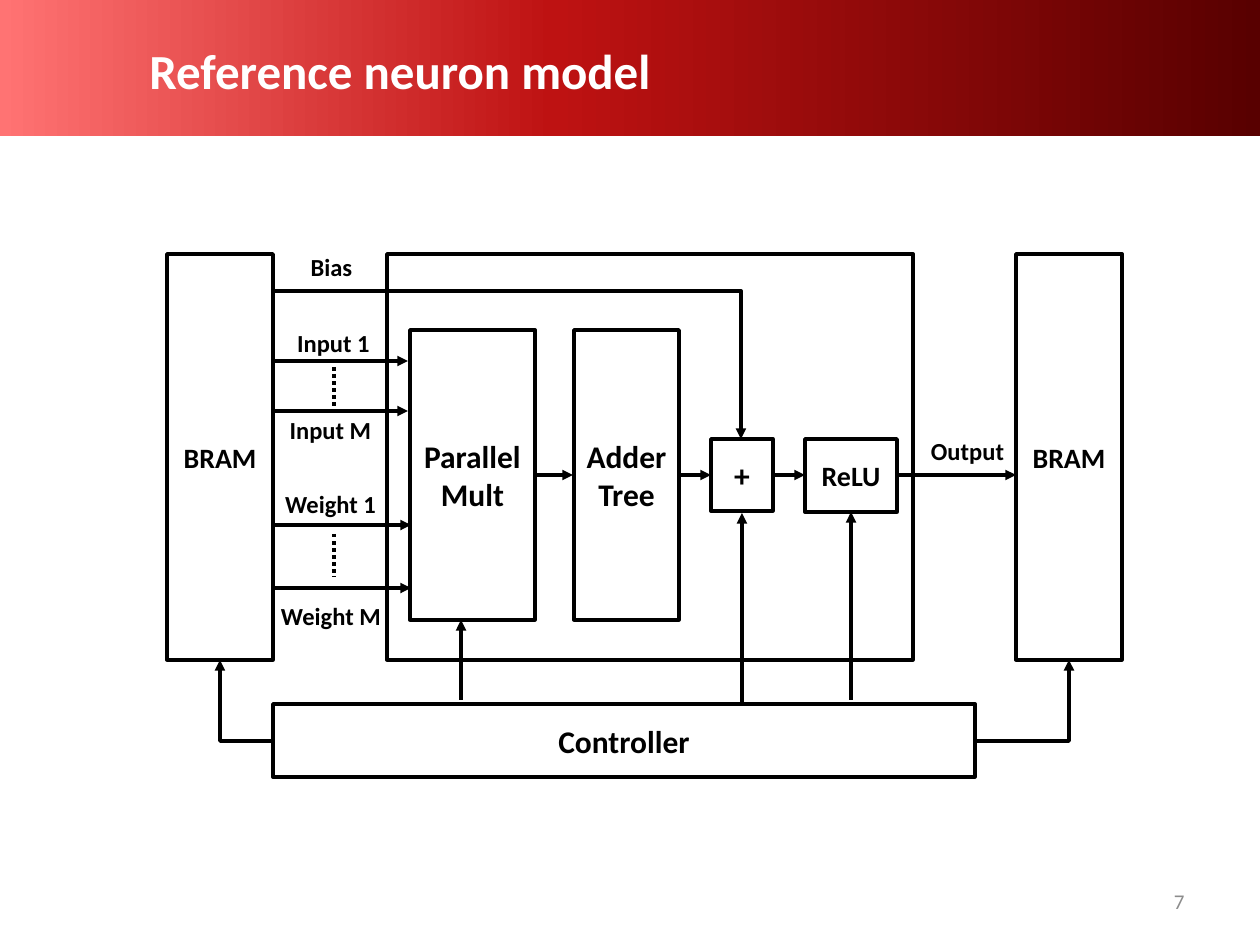
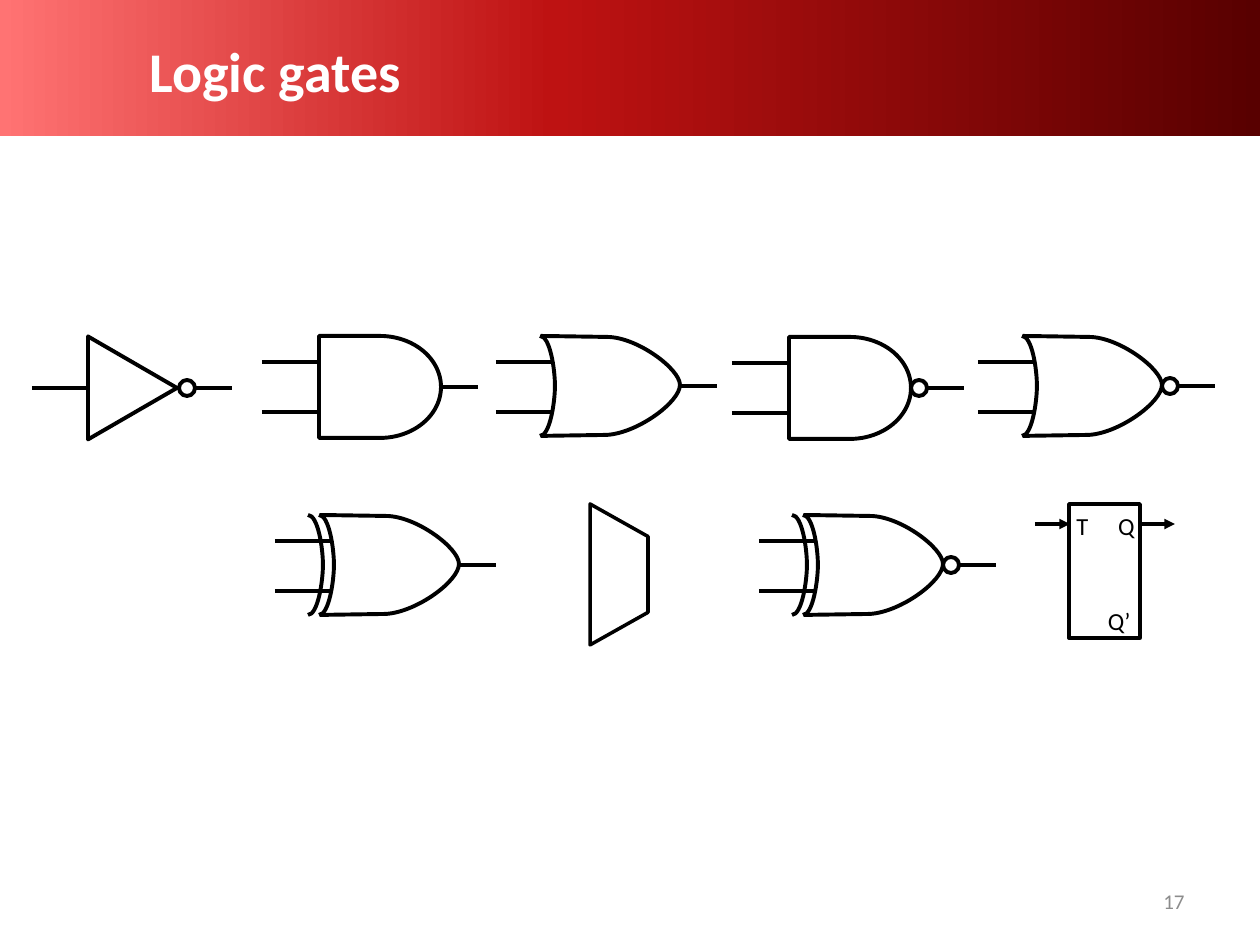
"""Build two slides: a neuron block diagram and a set of logic gate symbols."""
from copy import deepcopy

from lxml import etree
from pptx import Presentation
from pptx.dml.color import RGBColor
from pptx.enum.dml import MSO_LINE
from pptx.enum.shapes import MSO_CONNECTOR, MSO_SHAPE
from pptx.enum.text import MSO_ANCHOR, PP_ALIGN
from pptx.oxml.ns import qn
from pptx.util import Pt

PX = 914400 / 126  # EMU per pixel
WIDTH, HEIGHT = 1260, 945
FONT = "Calibri"

BLACK = RGBColor(0, 0, 0)
WHITE = RGBColor(255, 255, 255)
GRAY = RGBColor(0x8C, 0x8C, 0x8C)
BAND_STOPS = [(0, RGBColor(0xFF, 0x73, 0x73)),
              (0.44, RGBColor(0xBE, 0x12, 0x12)),
              (1, RGBColor(0x58, 0, 0))]

RECT, ELLIPSE = MSO_SHAPE.RECTANGLE, MSO_SHAPE.OVAL
DELAY, TRIANGLE = MSO_SHAPE.FLOWCHART_DELAY, MSO_SHAPE.ISOSCELES_TRIANGLE
TRAPEZOID = MSO_SHAPE.TRAPEZOID
STRAIGHT, ELBOW = MSO_CONNECTOR.STRAIGHT, MSO_CONNECTOR.ELBOW
DOTS = MSO_LINE.ROUND_DOT
TOP, MIDDLE = MSO_ANCHOR.TOP, MSO_ANCHOR.MIDDLE
LEFT, CENTER, RIGHT = PP_ALIGN.LEFT, PP_ALIGN.CENTER, PP_ALIGN.RIGHT

THIN, THICK = 2, 2.25  # line widths in points
BUBBLE = 16

# Outlines of an OR gate: a start, then steps of one point (line) or three (curve)
OR_BODY = [(0, 0), [(66, 1)],
           [(96, 1), (139, 33), (139, 49)],
           [(139, 66), (97, 97), (66, 99)],
           [(0, 100)]]
OR_BACK = [(0, 100),
           [(10, 100), (15, 66), (15, 50)],
           [(15, 33), (10, 0), (0, 0)]]


def emu(*lengths):
    """Turn pixel lengths into EMU."""
    return [round(n * PX) for n in lengths]


def write(shape, text, size, color=BLACK, bold=False, align=CENTER, anchor=MIDDLE):
    """Put one wrapped paragraph into a shape."""
    tf = shape.text_frame
    tf.word_wrap = True
    tf.vertical_anchor = anchor
    p = tf.paragraphs[0]
    p.text = text
    p.alignment = align
    p.font.name = FONT
    p.font.size = Pt(size)
    p.font.bold = bold
    p.font.color.rgb = color


def label(shapes, x, y, w, h, text, size=14, **style):
    """Add a text box."""
    write(shapes.add_textbox(*emu(x, y, w, h)), text, size, **style)


def outline(shape, width, fill=None):
    """Give a shape a black line and a plain fill, or none."""
    shape.shadow.inherit = False
    shape.line.color.rgb = BLACK
    shape.line.width = Pt(width)
    if fill is None:
        shape.fill.background()
    else:
        shape.fill.solid()
        shape.fill.fore_color.rgb = fill


def outlined(shapes, kind, x, y, w, h, width=THICK, fill=None):
    """Add a preset shape with a black outline."""
    sp = shapes.add_shape(kind, *emu(x, y, w, h))
    outline(sp, width, fill)
    return sp


def block(shapes, x, y, w, h, text="", size=18, fill=WHITE):
    """Add a block of the diagram, with its name if it has one."""
    sp = outlined(shapes, RECT, x, y, w, h, THIN, fill)
    sp.text_frame.margin_left = sp.text_frame.margin_right = 0
    if text:
        write(sp, text, size, bold=True)


def wire(shapes, x1, y1, x2, y2, width=THIN, arrow=False, dash=None, bent=False):
    """Add a connector; a bent one runs across first, then up or down."""
    c = shapes.add_connector(ELBOW if bent else STRAIGHT, *emu(x1, y1, x2, y2))
    c.line.color.rgb = BLACK
    c.line.width = Pt(width)
    if dash:
        c.line.dash_style = dash
    sp_pr = c._element.spPr
    if bent:
        sp_pr.find(qn("a:prstGeom")).set("prst", "bentConnector2")
    if arrow:
        etree.SubElement(sp_pr.find(qn("a:ln")), qn("a:tailEnd"), type="triangle")
    etree.SubElement(sp_pr, qn("a:effectLst"))


def curve(shapes, x, y, start, *steps):
    """Draw an open outline of lines and cubic curves, relative to (x, y)."""
    builder = shapes.build_freeform(*emu(x + start[0], y + start[1]))
    builder.add_line_segments([emu(x + px, y + py) for step in steps for px, py in step],
                              close=False)
    sp = builder.convert_to_shape()
    outline(sp, THICK)
    lines = iter(list(sp._element.iter(qn("a:lnTo"))))
    for step in steps:
        first = next(lines)
        if len(step) == 3:
            first.tag = qn("a:cubicBezTo")
            for _ in range(2):
                control = next(lines)
                first.append(control[0])
                control.getparent().remove(control)


def inputs(shapes, x1, x2, y):
    """Draw the two input leads of a gate whose top is y."""
    for dy in (26, 76):
        wire(shapes, x1, y + dy, x2, y + dy, THICK)


def output(shapes, x, y, inverted):
    """Draw the output lead, after a bubble if the gate inverts."""
    if inverted:
        outlined(shapes, ELLIPSE, x, y - BUBBLE / 2, BUBBLE, BUBBLE)
        x += BUBBLE
    wire(shapes, x, y, x + 37, y, THICK)


def not_gate(s, x, y):
    """Draw an inverter with its flat side at x, centred on y."""
    shapes = s.shapes.add_group_shape().shapes
    w, h = 89, 103
    wire(shapes, x - 56, y, x, y, THICK)
    sp = outlined(shapes, TRIANGLE, x + (w - h) / 2, y - w / 2, h, w)
    sp.rotation = 90
    output(shapes, x + w + 2, y, True)


def and_gate(s, x, y, inverted=False):
    """Draw an AND or NAND gate."""
    shapes = s.shapes.add_group_shape().shapes
    w, h = 122, 102
    inputs(shapes, x - 57, x, y)
    outlined(shapes, DELAY, x, y, w, h)
    output(shapes, x + w, y + 51, inverted)


def or_gate(s, x, y, exclusive=False, inverted=False):
    """Draw an OR, NOR, XOR or XNOR gate."""
    shapes = s.shapes.add_group_shape().shapes
    inputs(shapes, x - 45, x + 12, y)
    curve(shapes, x, y, *OR_BODY)
    for dx in (-1, -12) if exclusive else (-1,):
        curve(shapes, x + dx, y, *OR_BACK)
    output(shapes, x + 139, y + 50, inverted)


def multiplexer(s, x, y, w, h):
    """Draw a multiplexer as a trapezoid turned on its side."""
    sp = outlined(s.shapes, TRAPEZOID, x + (w - h) / 2, y + (h - w) / 2, h, w, THIN)
    sp.adjustments[0] = 0.562
    sp.rotation = 90


def flip_flop(s, x, y):
    """Draw a T flip-flop."""
    shapes = s.shapes.add_group_shape().shapes
    w, h = 71, 134
    outlined(shapes, RECT, x, y, w, h, THIN)
    for x1 in (x - 34, x + w):
        wire(shapes, x1, y + 20, x1 + 35, y + 20, arrow=True)
    label(shapes, x - 5, y + 1, 43, 52, "T", align=LEFT, anchor=TOP)
    label(shapes, x + 35, y + 1, 43, 52, "Q ", align=RIGHT, anchor=TOP)
    label(shapes, x + 19, y + 96, 55, 43, "Q’", align=RIGHT, anchor=TOP)


def band(s):
    """Draw the gradient band at the top."""
    sp = s.shapes.add_shape(RECT, *emu(0, 0, WIDTH, 136))
    sp.shadow.inherit = False
    sp.line.fill.background()
    sp.fill.gradient()
    sp.fill.gradient_angle = 0
    stops = sp._element.spPr.find(qn("a:gradFill")).find(qn("a:gsLst"))
    stops.append(deepcopy(stops[-1]))
    for stop, (position, color) in zip(sp.fill.gradient_stops, BAND_STOPS):
        stop.position = position
        stop.color.rgb = color


def new_slide(prs, title, size, number):
    """Add a slide with band, title and slide number."""
    s = prs.slides.add_slide(prs.slide_layouts[6])
    band(s)
    label(s.shapes, 137, 21, 1061, 98, title, size, color=WHITE, bold=True, align=LEFT)
    label(s.shapes, 903, 876, 294, 50, number, 12, color=GRAY, align=RIGHT)
    return s


def neuron_slide(prs):
    """Build the block diagram of the neuron."""
    shapes = new_slide(prs, "Reference neuron model", 28, "7").shapes
    top, height, row = 254, 406, 475
    bottom = top + height

    block(shapes, 387, top, 526, height)
    for x in (167, 1016):
        block(shapes, x, top, 106, height, "BRAM", 16)
    block(shapes, 410, 330, 125, 290, "Parallel Mult")
    block(shapes, 574, 330, 105, 290, "Adder Tree")
    block(shapes, 711, 439, 62, 72, "+")
    block(shapes, 805, 439, 92, 73, "ReLU", 16)
    block(shapes, 273, 704, 702, 73, "Controller", fill=None)

    for x1, x2 in ((535, 573), (679, 711), (773, 805), (897, 1016)):
        wire(shapes, x1, row, x2, row, arrow=True)
    for y, x2 in ((361, 408), (411, 408), (525, 411), (588, 411)):
        wire(shapes, 273, y, x2, y, arrow=True)
    for y in (367, 534):
        wire(shapes, 334, y, 334, y + 43, dash=DOTS)
    for x, y1, y2 in ((461, 700, 620), (742, 702, 513), (851, 700, 512)):
        wire(shapes, x, y1, x, y2, arrow=True)
    for ends in ((273, 291, 741, 439), (273, 741, 220, bottom), (975, 741, 1069, bottom)):
        wire(shapes, *ends, arrow=True, bent=True)

    for text, x, y, w in (("Bias", 288, 246, 87), ("Input 1", 278, 322, 111),
                          ("Input M", 275, 409, 111), ("Weight 1", 269, 483, 123),
                          ("Weight M", 261, 595, 140), ("Output", 915, 430, 105)):
        label(shapes, x, y, w, 43, text, bold=True, anchor=TOP)


def gates_slide(prs):
    """Build the overview of logic gates."""
    s = new_slide(prs, "Logic gates", 32, "17")
    row1, row2 = 336, 515
    not_gate(s, 88, row1 + 52)
    and_gate(s, 319, row1)
    or_gate(s, 541, row1)
    and_gate(s, 789, row1 + 1, inverted=True)
    or_gate(s, 1023, row1, inverted=True)
    or_gate(s, 320, row2, exclusive=True)
    multiplexer(s, 590, 504, 58, 141)
    or_gate(s, 804, row2, exclusive=True, inverted=True)
    flip_flop(s, 1069, 504)


def main():
    """Build and save the presentation."""
    prs = Presentation()
    prs.slide_width, prs.slide_height = emu(WIDTH, HEIGHT)
    neuron_slide(prs)
    gates_slide(prs)
    prs.save("out.pptx")


if __name__ == "__main__":
    main()
